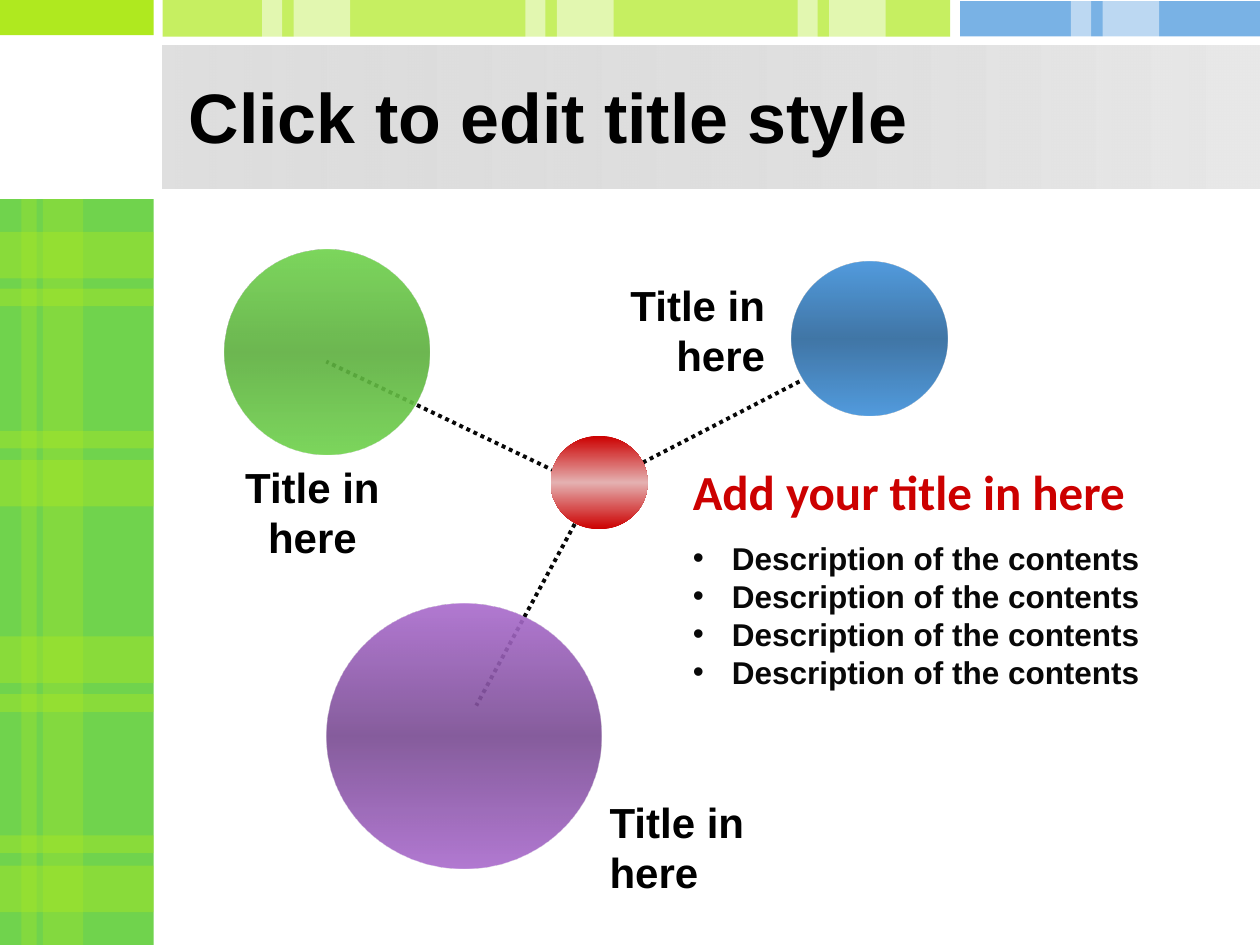
from pptx import Presentation
from pptx.dml.color import RGBColor
from pptx.enum.dml import MSO_LINE
from pptx.enum.shapes import MSO_CONNECTOR, MSO_SHAPE
from pptx.enum.text import MSO_ANCHOR, PP_ALIGN
from pptx.oxml.ns import qn
from pptx.util import Inches, Pt
from lxml.etree import SubElement

GREEN = RGBColor(0x70, 0xD3, 0x4D)
DARK_GREEN = RGBColor(0x5E, 0xB0, 0x40)
LIME = RGBColor(0xAF, 0xE9, 0x1F)
BLUE = RGBColor(0x41, 0x92, 0xDB)
DARK_BLUE = RGBColor(0x2E, 0x68, 0x9D)
PURPLE = RGBColor(0xAB, 0x6C, 0xCE)
DARK_PURPLE = RGBColor(0x7A, 0x4D, 0x93)
RED = RGBColor(0xCC, 0x00, 0x00)
PALE_RED = RGBColor(0xE4, 0xB0, 0xB0)
SILVER = RGBColor(0xC0, 0xC0, 0xC0)
LIGHT_GREY = RGBColor(0xE8, 0xE8, 0xE8)
WHITE = RGBColor(0xFF, 0xFF, 0xFF)
BLACK = RGBColor(0x00, 0x00, 0x00)
INK = RGBColor(0x08, 0x08, 0x08)

prs = Presentation()
prs.slide_width = Inches(10)
prs.slide_height = Inches(7.5)
slide = prs.slides.add_slide(prs.slide_layouts[6])


def add_filled(kind, box, stops, angle=0):
    shape = slide.shapes.add_shape(kind, *map(Inches, box))
    shape.shadow.inherit = False
    shape.line.fill.background()
    if len(stops) == 1:
        color, alpha = stops[0]
        shape.fill.solid()
        shape.fill.fore_color.rgb = color
        srgb = shape.fill._xPr.find(".//" + qn("a:srgbClr"))
        SubElement(srgb, qn("a:alpha"), val=str(alpha * 1000))
        return
    shape.fill.gradient()
    shape.fill.gradient_angle = angle
    stop_list = shape.fill._xPr.find(".//" + qn("a:gsLst"))
    for old_stop in list(stop_list):
        stop_list.remove(old_stop)
    for i, (color, alpha) in enumerate(stops):
        position = 100000 * i // (len(stops) - 1)
        stop = SubElement(stop_list, qn("a:gs"), pos=str(position))
        srgb = SubElement(stop, qn("a:srgbClr"), val=str(color))
        SubElement(srgb, qn("a:alpha"), val=str(alpha * 1000))


def add_text(box, lines, anchor=MSO_ANCHOR.TOP):
    frame = slide.shapes.add_textbox(*map(Inches, box)).text_frame
    frame.word_wrap = True
    frame.vertical_anchor = anchor
    for i, (text, color, font_format, paragraph_format) in enumerate(lines):
        paragraph = frame.paragraphs[0] if i == 0 else frame.add_paragraph()
        for key, value in paragraph_format.items():
            setattr(paragraph, key, value)
        run = paragraph.add_run()
        run.text = text
        for key, value in font_format.items():
            setattr(run.font, key, value)
        run.font.color.rgb = color
    return frame


panels = [
    ((0, 1.58, 1.22, 5.92), GREEN, 100),
    ((0, 0, 1.22, 0.28), LIME, 100),
    ((1.29, 0, 6.25, 0.29), LIME, 70),
    ((7.62, 0.01, 2.38, 0.28), BLUE, 70),
]
for box, color, alpha in panels:
    add_filled(MSO_SHAPE.RECTANGLE, box, [(color, alpha)])

for left, width in [(0.17, 0.12), (0.34, 0.32)]:
    add_filled(MSO_SHAPE.RECTANGLE, (left, 1.58, width, 5.92), [(LIME, 30)])

for wide_top, narrow_top in [(1.84, 2.29), (3.65, 3.42), (5.05, 5.51), (6.87, 6.63)]:
    for top, height in [(wide_top, 0.37), (narrow_top, 0.14)]:
        add_filled(MSO_SHAPE.RECTANGLE, (0, top, 1.22, height), [(LIME, 40)])

for left in [2.08, 4.17, 6.33, 8.5]:
    for offset, width in [(0, 0.16), (0.25, 0.45)]:
        add_filled(MSO_SHAPE.RECTANGLE, (left + offset, 0, width, 0.31), [(WHITE, 50)])

add_filled(MSO_SHAPE.RECTANGLE, (1.29, 0.36, 8.71, 1.14), [(SILVER, 50), (LIGHT_GREY, 100)])

title_font = {"name": "Arial", "size": Pt(40), "bold": True}
add_text((1.4, 0.5, 7.1, 0.83), [("Click to edit title style", BLACK, title_font, {})], MSO_ANCHOR.MIDDLE)

spokes = [(4.74, 3.9, 2.59, 2.87), (4.66, 3.9, 6.36, 3.02), (4.74, 3.83, 3.78, 5.6)]
for ends in spokes:
    spoke = slide.shapes.add_connector(MSO_CONNECTOR.STRAIGHT, *map(Inches, ends))
    spoke.line.color.rgb = INK
    spoke.line.width = Pt(2.25)
    spoke.line.dash_style = MSO_LINE.ROUND_DOT
    SubElement(spoke._element.spPr, qn("a:effectLst"))

spheres = [
    ((1.78, 1.98, 1.63, 1.63), GREEN, DARK_GREEN, 90),
    ((4.37, 3.46, 0.77, 0.74), RED, PALE_RED, 100),
    ((6.28, 2.08, 1.24, 1.22), BLUE, DARK_BLUE, 90),
    ((2.59, 4.79, 2.18, 2.1), PURPLE, DARK_PURPLE, 90),
]
for box, edge, middle, alpha in spheres:
    add_filled(MSO_SHAPE.OVAL, box, [(edge, alpha), (middle, alpha), (edge, alpha)], 90)

label_font = {"name": "Arial", "size": Pt(24), "bold": True}
labels = [
    (1.48, 3.61, PP_ALIGN.CENTER),
    (4.17, 2.17, PP_ALIGN.RIGHT),
    (4.74, 6.27, PP_ALIGN.LEFT),
]
for left, top, alignment in labels:
    add_text((left, top, 2, 0.9), [("Title in here", BLACK, label_font, {"alignment": alignment})])

heading_font = {"name": "Calibri", "size": Pt(28), "bold": True}
item_font = {"name": "Arial", "size": Pt(18), "bold": True}
lines = [("Add your title in here", RED, heading_font, {})]
for gap in [11, 0, 0, 0]:
    lines.append(("Description of the contents", INK, item_font, {"space_before": Pt(gap)}))
contents = add_text((5.4, 3.61, 4.01, 1.92), lines)
for item in contents.paragraphs[1:]:
    properties = item._p.get_or_add_pPr()
    properties.set("marL", str(Inches(0.31)))
    properties.set("indent", str(-Inches(0.31)))
    SubElement(properties, qn("a:buFont"), typeface="Arial")
    SubElement(properties, qn("a:buChar"), char="•")

prs.save("out.pptx")
